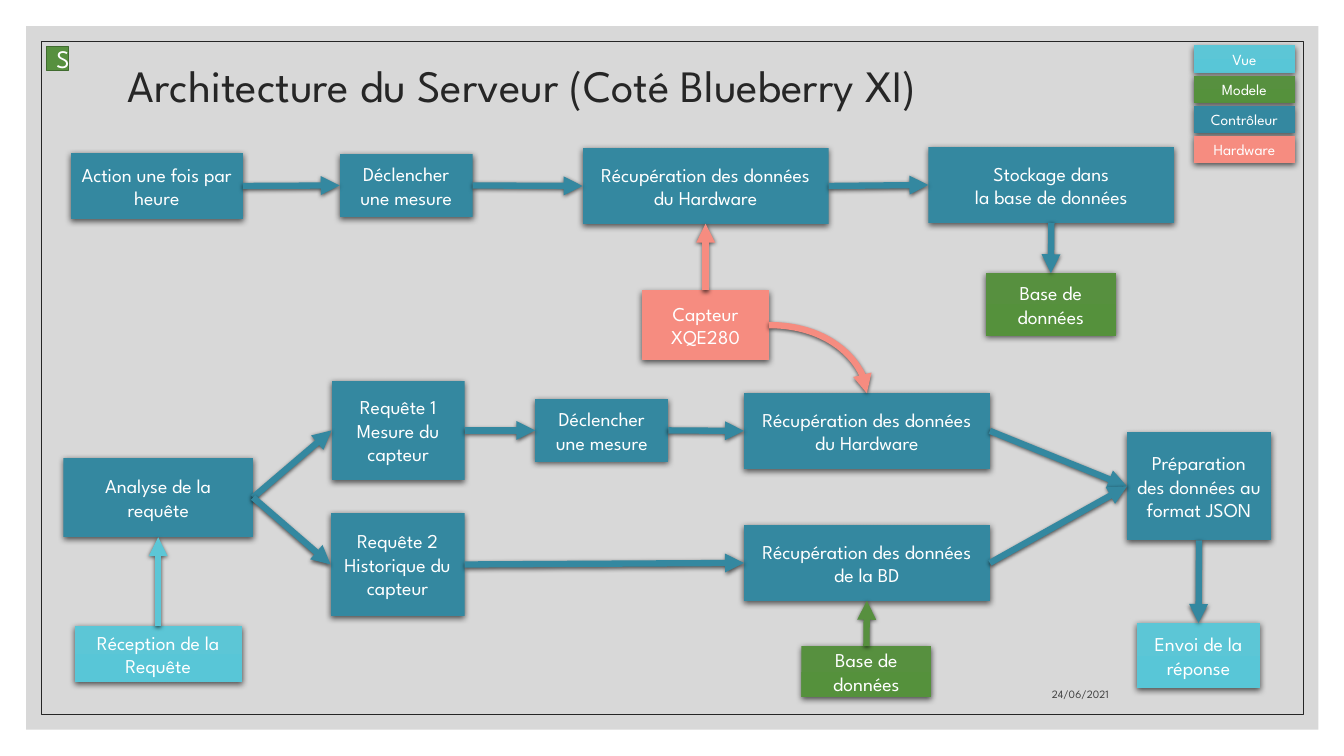
import dataclasses
import enum
import typing

import lxml.etree
import pptx
import pptx.dml.color
import pptx.enum.dml
import pptx.enum.shapes
import pptx.enum.text
import pptx.oxml.ns
import pptx.util

CELL = pptx.util.Inches(0.1)  # side of one grid cell
COLUMNS, ROWS = 133.33, 75
Align = pptx.enum.text.PP_ALIGN
Anchor = pptx.enum.text.MSO_ANCHOR
Connector = pptx.enum.shapes.MSO_CONNECTOR
RECTANGLE = pptx.enum.shapes.MSO_SHAPE.RECTANGLE


class Paint(typing.NamedTuple):
    top: str
    bottom: str


@dataclasses.dataclass(frozen=True)
class Theme:
    font: str = "League Spartan"
    view: Paint = Paint("5CC6D6", "58C6D7")
    model: Paint = Paint("57903F", "55913C")
    controller: Paint = Paint("3488A0", "3188A1")
    hardware: Paint = Paint("F68C80", "F68C80")
    panel: str = "BFBFBF"
    ink: str = "262626"
    date: str = "404040"
    badge_line: str = "406B2F"
    light: str = "FFFFFF"
    shadow: str = "000000"
    title_size: float = 32
    badge_size: float = 18
    box_size: float = 14
    legend_size: float = 11
    date_size: float = 8
    arrow_width: float = 4.5


THEME = Theme()


class Area(typing.NamedTuple):
    """Left, top, width and height in grid cells."""
    left: float
    top: float
    width: float
    height: float


class Side(enum.IntEnum):
    """Connection sites of a rectangle."""
    TOP = 0
    LEFT = 1
    BOTTOM = 2
    RIGHT = 3


@dataclasses.dataclass(frozen=True)
class Box:
    area: Area
    paint: Paint
    text: str
    size: float = THEME.box_size


@dataclasses.dataclass(frozen=True)
class Arrow:
    start: str
    start_side: Side
    end: str
    end_side: Side
    paint: Paint = THEME.controller
    curved: bool = False


BOXES: dict[str, Box] = {
    "hourly": Box(Area(7, 15.2, 17.1, 6.5), THEME.controller, "Action une fois par heure"),
    "trigger_hourly": Box(Area(33.7, 15.3, 13.2, 6.2), THEME.controller, "Déclencher une mesure"),
    "read_hourly": Box(Area(57.8, 14.7, 24.4, 7.5), THEME.controller,
                       "Récupération des données du Hardware"),
    "store": Box(Area(92.1, 14.6, 24.4, 7.5), THEME.controller, "Stockage dans\nla base de données"),
    "database_write": Box(Area(97.8, 27.1, 12.9, 6.2), THEME.model, "Base de données"),
    "sensor": Box(Area(63.7, 28.8, 12.6, 6.9), THEME.hardware, "Capteur XQE280"),
    "analysis": Box(Area(6.3, 45.4, 18.8, 7.9), THEME.controller, "Analyse de la requête"),
    "reception": Box(Area(7.4, 62.1, 16.6, 5.6), THEME.view, "Réception de la Requête"),
    "request_1": Box(Area(32.9, 37.8, 13.2, 9.8), THEME.controller, "Requête 1\nMesure du capteur"),
    "request_2": Box(Area(32.8, 50.9, 13.3, 10.2), THEME.controller,
                     "Requête 2\nHistorique du capteur"),
    "trigger_request": Box(Area(53.1, 39.6, 13.2, 6.2), THEME.controller, "Déclencher une mesure"),
    "read_request": Box(Area(73.8, 39, 24.4, 7.5), THEME.controller,
                        "Récupération des données du Hardware"),
    "read_database": Box(Area(73.8, 52.1, 24.4, 7.5), THEME.controller,
                         "Récupération des données de la BD"),
    "database_read": Box(Area(79.5, 64.1, 12.9, 5.1), THEME.model, "Base de données"),
    "prepare": Box(Area(111.8, 42.9, 14.3, 10.7), THEME.controller,
                   "Préparation des données au format JSON"),
    "reply": Box(Area(112.8, 61.8, 12.2, 6.5), THEME.view, "Envoi de la réponse"),
}
LEGEND: list[tuple[str, Paint]] = [
    ("Vue", THEME.view), ("Modele", THEME.model),
    ("Contrôleur", THEME.controller), ("Hardware", THEME.hardware),
]
ARROWS: list[Arrow] = [
    Arrow("hourly", Side.RIGHT, "trigger_hourly", Side.LEFT),
    Arrow("trigger_hourly", Side.RIGHT, "read_hourly", Side.LEFT),
    Arrow("read_hourly", Side.RIGHT, "store", Side.LEFT),
    Arrow("store", Side.BOTTOM, "database_write", Side.TOP),
    Arrow("sensor", Side.TOP, "read_hourly", Side.BOTTOM, THEME.hardware),
    Arrow("sensor", Side.RIGHT, "read_request", Side.TOP, THEME.hardware, curved=True),
    Arrow("reception", Side.TOP, "analysis", Side.BOTTOM, THEME.view),
    Arrow("analysis", Side.RIGHT, "request_1", Side.LEFT),
    Arrow("analysis", Side.RIGHT, "request_2", Side.LEFT),
    Arrow("request_1", Side.RIGHT, "trigger_request", Side.LEFT),
    Arrow("trigger_request", Side.RIGHT, "read_request", Side.LEFT),
    Arrow("request_2", Side.RIGHT, "read_database", Side.LEFT),
    Arrow("database_read", Side.TOP, "read_database", Side.BOTTOM, THEME.model),
    Arrow("read_request", Side.RIGHT, "prepare", Side.LEFT),
    Arrow("read_database", Side.RIGHT, "prepare", Side.LEFT),
    Arrow("prepare", Side.BOTTOM, "reply", Side.TOP),
]


def rgb(code: str) -> pptx.dml.color.RGBColor:
    return pptx.dml.color.RGBColor.from_string(code)


def emu(area: Area) -> list[int]:
    return [round(length * CELL) for length in area]


def apply_format(target: typing.Any, values: dict[str, typing.Any]) -> None:
    for name, value in values.items():
        setattr(target, name, value)


def add_element(parent: typing.Any, tag: str, **attributes: typing.Any) -> typing.Any:
    element = lxml.etree.SubElement(parent, pptx.oxml.ns.qn(tag))
    for name, value in attributes.items():
        element.set(name, str(value))
    return element


def add_shadow(shape: typing.Any, blur: float, distance: float) -> None:
    effects = add_element(shape.element.spPr, "a:effectLst")
    outer = add_element(effects, "a:outerShdw", blurRad=pptx.util.Pt(blur),
                        dist=pptx.util.Pt(distance), dir=5400000, algn="ctr", rotWithShape=0)
    color = add_element(outer, "a:srgbClr", val=THEME.shadow)
    add_element(color, "a:alpha", val=63000)


def write_text(shape: typing.Any, text: str, size: float, color: str, align: Align = Align.CENTER,
               anchor: Anchor = Anchor.MIDDLE, spacing: float = 1.0) -> None:
    frame = shape.text_frame
    frame.text = text
    apply_format(frame, {"word_wrap": True, "vertical_anchor": anchor})
    for paragraph in frame.paragraphs:
        apply_format(paragraph, {"alignment": align, "line_spacing": spacing})
        apply_format(paragraph.font, {"name": THEME.font, "size": pptx.util.Pt(size)})
        paragraph.font.color.rgb = rgb(color)


def draw_plain(shapes: typing.Any, area: Area, fill: str | None = None,
               line: str | None = None, width: float = 1) -> typing.Any:
    shape = shapes.add_shape(RECTANGLE, *emu(area))
    shape.shadow.inherit = False
    if fill:
        shape.fill.solid()
        shape.fill.fore_color.rgb = rgb(fill)
    else:
        shape.fill.background()
    if line:
        shape.line.color.rgb = rgb(line)
        shape.line.width = pptx.util.Pt(width)
    else:
        shape.line.fill.background()
    return shape


def draw_box(shapes: typing.Any, box: Box) -> typing.Any:
    shape = shapes.add_shape(RECTANGLE, *emu(box.area))
    shape.fill.gradient()
    shape.fill.gradient_angle = 270
    for stop, color in zip(shape.fill.gradient_stops, box.paint):
        stop.color.rgb = rgb(color)
    shape.line.fill.background()
    add_shadow(shape, blur=4.5, distance=1.5)
    write_text(shape, box.text, box.size, THEME.light)
    return shape


def draw_arrow(shapes: typing.Any, arrow: Arrow, drawn: dict[str, typing.Any]) -> None:
    kind = Connector.CURVE if arrow.curved else Connector.STRAIGHT
    connector = shapes.add_connector(kind, 0, 0, 0, 0)
    connector.begin_connect(drawn[arrow.start], arrow.start_side)
    connector.end_connect(drawn[arrow.end], arrow.end_side)
    if arrow.curved:
        connector.element.spPr.find(pptx.oxml.ns.qn("a:prstGeom")).set("prst", "curvedConnector2")
    connector.line.color.rgb = rgb(arrow.paint.top)
    connector.line.width = pptx.util.Pt(THEME.arrow_width)
    add_element(connector.line._get_or_add_ln(), "a:tailEnd", type="triangle")
    add_shadow(connector, blur=3, distance=1)


def main() -> None:
    presentation = pptx.Presentation()
    apply_format(presentation, {"slide_width": round(COLUMNS * CELL), "slide_height": ROWS * CELL})
    shapes = presentation.slides.add_slide(presentation.slide_layouts[6]).shapes

    panel = draw_plain(shapes, Area(2.6, 2.6, 128.2, 69.8), fill=THEME.panel)
    panel_color = next(panel.element.spPr.iter(pptx.oxml.ns.qn("a:srgbClr")))
    add_element(panel_color, "a:alpha", val=60000)
    draw_plain(shapes, Area(4.1, 4.1, 125.2, 66.8), line=THEME.ink, width=0.5)

    title = shapes.add_textbox(*emu(Area(11.7, 5.9, 110, 5.7)))
    write_text(title, "Architecture du Serveur (Coté Blueberry XI)", THEME.title_size, THEME.ink,
               align=Align.LEFT, spacing=0.9)
    date = shapes.add_textbox(*emu(Area(79.4, 66, 31.6, 4)))
    write_text(date, "24/06/2021", THEME.date_size, THEME.date, Align.RIGHT, Anchor.BOTTOM)

    for row, (label, paint) in enumerate(LEGEND):
        draw_box(shapes, Box(Area(118.4, 4.5 + 3 * row, 10.1, 2.7), paint, label, THEME.legend_size))
    drawn = {name: draw_box(shapes, box) for name, box in BOXES.items()}
    for arrow in ARROWS:
        draw_arrow(shapes, arrow, drawn)

    badge = draw_plain(shapes, Area(4.6, 4.6, 2.2, 2.4), THEME.model.top, THEME.badge_line)
    write_text(badge, "S", THEME.badge_size, THEME.light)
    presentation.save("out.pptx")


if __name__ == "__main__":
    main()
